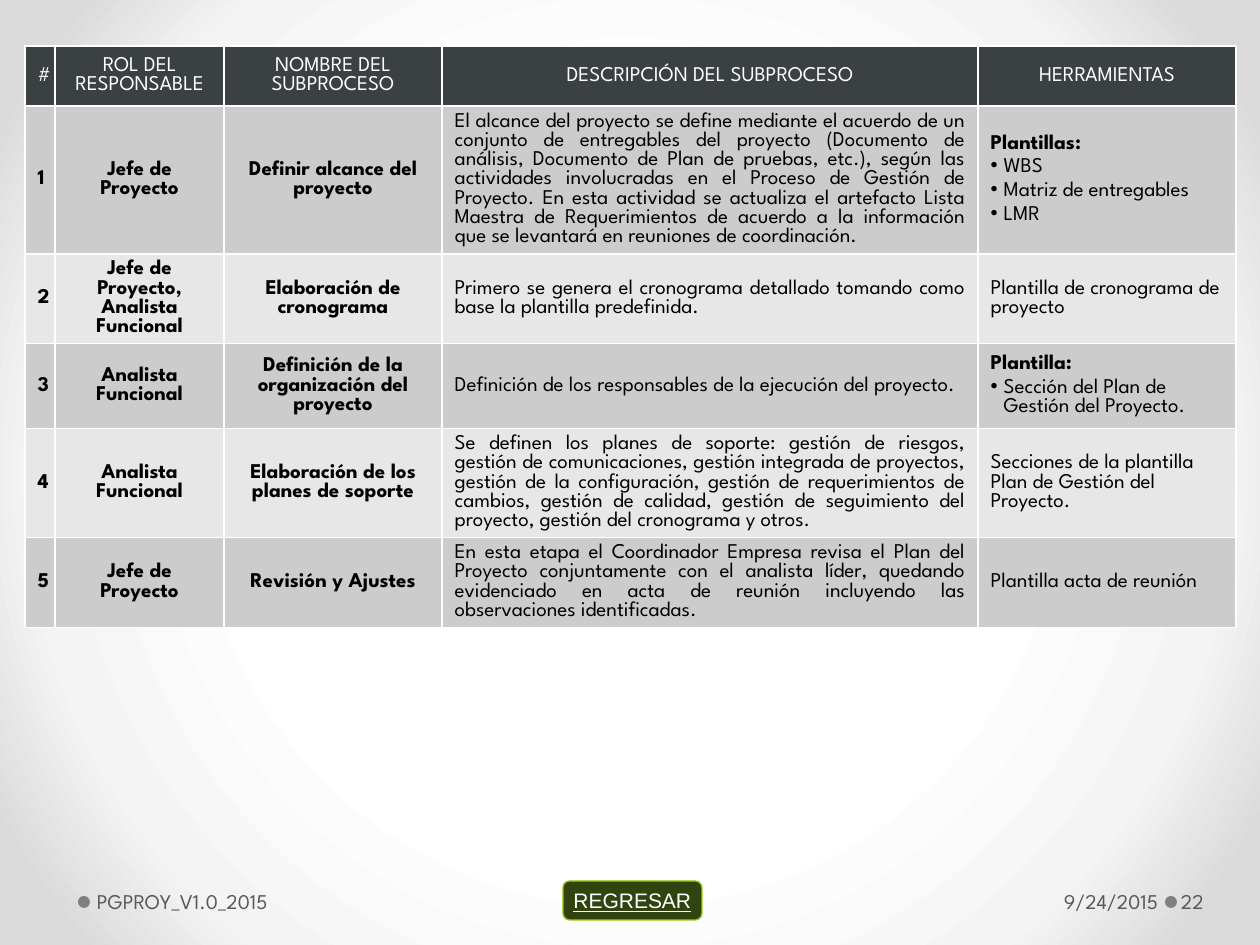
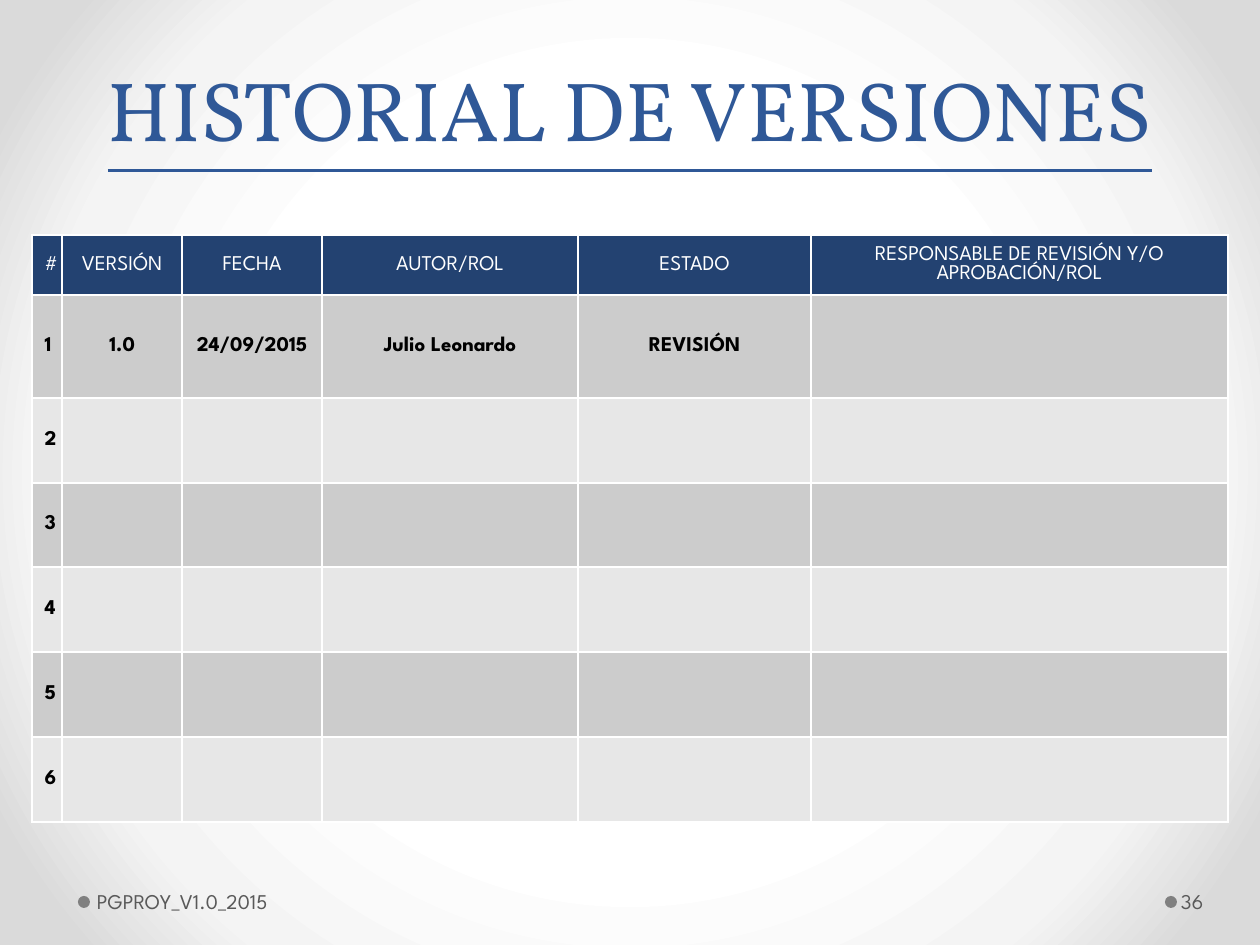
import dataclasses

import pptx
import pptx.dml.color
import pptx.enum.shapes
import pptx.enum.text
import pptx.oxml
import pptx.oxml.ns
import pptx.util

SCALE = 914400 / 126
NS = pptx.oxml.ns.nsdecls("a")
PP = pptx.enum.text.PP_ALIGN
MID = pptx.enum.text.MSO_ANCHOR.MIDDLE
SHAPE = pptx.enum.shapes.MSO_SHAPE
RGB = pptx.dml.color.RGBColor.from_string


@dataclasses.dataclass(frozen=True)
class Theme:
    body: str = "League Spartan"
    head: str = "Vollkorn"
    link: str = "Arial"
    small: int = 12
    large: int = 48
    line: int = 11
    gap: float = 2.7
    white: str = "FFFFFF"
    black: str = "000000"
    title: str = "2F5897"
    foot: str = "595959"
    dot: str = "808080"
    slate: str = "3B4042"
    navy: str = "234271"
    bands: tuple = ("CCCCCC", "E7E7E7")
    button: str = "314410"
    edge: str = "99CC00"
    glow: tuple = ((50, "FFFFFF"), (76, "F4F4F4"), (92, "DADADA"))


theme = Theme()


def px(n):
    return pptx.util.Emu(round(n * SCALE))


def style(para, color, font=theme.body, size=theme.small, align=PP.LEFT,
          bold=False, under=False):
    para.alignment = align
    for run in para.runs:
        face = run.font
        face.name, face.size = font, pptx.util.Pt(size)
        face.color.rgb = RGB(color)
        face.bold, face.underline = bold, under


# Content of each slide
steps = [
    ("#", "ROL DEL RESPONSABLE", "NOMBRE DEL SUBPROCESO",
     "DESCRIPCIÓN DEL SUBPROCESO", "HERRAMIENTAS"),
    ("1", "Jefe de Proyecto", "Definir alcance del proyecto",
     "El alcance del proyecto se define mediante el acuerdo de un conjunto de "
     "entregables del proyecto (Documento de análisis, Documento de Plan de "
     "pruebas, etc.), según las actividades involucradas en el Proceso de "
     "Gestión de Proyecto. En esta actividad se actualiza el artefacto Lista "
     "Maestra de Requerimientos de acuerdo a la información que se levantará "
     "en reuniones de coordinación.",
     "Plantillas:\nWBS\nMatriz de entregables\nLMR"),
    ("2", "Jefe de Proyecto, Analista Funcional", "Elaboración de cronograma",
     "Primero se genera el cronograma detallado tomando como base la "
     "plantilla predefinida.",
     "Plantilla de cronograma de proyecto"),
    ("3", "Analista Funcional", "Definición de la organización del proyecto",
     "Definición de los responsables de la ejecución del proyecto.",
     "Plantilla:\nSección del Plan de Gestión del Proyecto."),
    ("4", "Analista Funcional", "Elaboración de los planes de soporte",
     "Se definen los planes de soporte: gestión de riesgos, gestión de "
     "comunicaciones, gestión integrada de proyectos, gestión de la "
     "configuración, gestión de requerimientos de cambios, gestión de "
     "calidad, gestión de seguimiento del proyecto, gestión del cronograma "
     "y otros.",
     "Secciones de la plantilla Plan de Gestión del Proyecto."),
    ("5", "Jefe de Proyecto", "Revisión y Ajustes",
     "En esta etapa el Coordinador Empresa revisa el Plan del Proyecto "
     "conjuntamente con el analista líder, quedando evidenciado en acta de "
     "reunión incluyendo las observaciones identificadas.",
     "Plantilla acta de reunión"),
]
log = [
    ("#", "VERSIÓN", "FECHA", "AUTOR/ROL", "ESTADO",
     "RESPONSABLE DE REVISIÓN Y/O APROBACIÓN/ROL"),
    ("1", "1.0", "24/09/2015", "Julio Leonardo", "REVISIÓN", ""),
] + [(str(n),) + ("",) * 5 for n in range(2, 7)]

pages = [
    dict(title="", num="22", date="9/24/2015", back="REGRESAR",
         rows=steps, at=(25, 46), fill=theme.slate,
         wide=(30, 169, 218, 536, 258), high=(60, 148, 89, 85, 109, 90),
         prose={3: PP.JUSTIFY, 4: PP.LEFT}),
    dict(title="HISTORIAL DE VERSIONES", num="36", date="", back="",
         rows=log, at=(32, 235), fill=theme.navy,
         wide=(30, 120, 140, 256, 233, 417),
         high=(60, 103, 85, 84, 85, 85, 85),
         prose={}),
]

deck = pptx.Presentation()
deck.slide_width, deck.slide_height = px(1260), px(945)

# Shared background: a round glow on the master
master = deck.slide_master
master.background.fill.gradient()
grad = master.element.find(".//" + pptx.oxml.ns.qn("a:gradFill"))
for child in list(grad):
    grad.remove(child)
stops = "".join(f'<a:gs pos="{pos}000"><a:srgbClr val="{color}"/></a:gs>'
                for pos, color in theme.glow)
grad.append(pptx.oxml.parse_xml(f"<a:gsLst {NS}>{stops}</a:gsLst>"))
grad.append(pptx.oxml.parse_xml(
    f'<a:path {NS} path="circle">'
    '<a:fillToRect l="50000" t="50000" r="50000" b="50000"/></a:path>'))

for page in pages:
    slide = deck.slides.add_slide(deck.slide_layouts[5 if page["title"] else 6])
    shapes = slide.shapes

    # Title
    if page["title"]:
        title = shapes.title
        title.left, title.top, title.width, title.height = map(
            px, (35, 25, 1190, 140))
        frame = title.text_frame
        frame.text = page["title"]
        frame.auto_size = pptx.enum.text.MSO_AUTO_SIZE.NONE
        frame.vertical_anchor = pptx.enum.text.MSO_ANCHOR.BOTTOM
        style(frame.paragraphs[0], theme.title, theme.head, theme.large,
              PP.CENTER, under=True)

    # Footer dots
    for left in (78, 1165):
        dot = shapes.add_shape(SHAPE.OVAL, px(left), px(896), px(12), px(12))
        dot.shadow.inherit = False
        dot.fill.solid()
        dot.fill.fore_color.rgb = RGB(theme.dot)
        dot.line.fill.background()

    # Footer texts: wording, left, width, left inset, right inset, alignment
    for words, left, wide, pad, end, align in (
            ("PGPROY_V1.0_2015", 91, 499, 6, 13, PP.LEFT),
            (page["date"], 877, 287, 13, 6, PP.RIGHT),
            (page["num"], 1177, 77, 4, 6, PP.LEFT)):
        if words:
            box = shapes.add_textbox(px(left), px(876), px(wide), px(50))
            frame = box.text_frame
            frame.word_wrap = True
            frame.vertical_anchor = MID
            frame.margin_left, frame.margin_right = px(pad), px(end)
            frame.text = words
            style(frame.paragraphs[0], theme.foot, align=align)

    # Table
    rows, wide, high = page["rows"], page["wide"], page["high"]
    left, top = page["at"]
    grid = shapes.add_table(len(rows), len(wide), px(left), px(top),
                            px(sum(wide)), px(sum(high))).table
    grid.first_row = grid.horz_banding = False
    for col, size in zip(grid.columns, wide):
        col.width = px(size)
    for row, size in zip(grid.rows, high):
        row.height = px(size)
    for r, row in enumerate(rows):
        for c, words in enumerate(row):
            cell = grid.cell(r, c)
            cell.vertical_anchor = MID
            cell.fill.solid()
            cell.fill.fore_color.rgb = RGB(
                theme.bands[(r - 1) % 2] if r else page["fill"])

            # Thin white borders
            props = cell._tc.get_or_add_tcPr()
            for i, side in enumerate("LRTB"):
                props.insert(i, pptx.oxml.parse_xml(
                    f'<a:ln{side} {NS} w="12700"><a:solidFill>'
                    f'<a:srgbClr val="{theme.white}"/></a:solidFill></a:ln{side}>'))

            # Header, bold centred labels, plain prose, lists under a bold lead
            cell.text_frame.text = words
            paras = cell.text_frame.paragraphs
            for i, para in enumerate(paras):
                para.line_spacing = pptx.util.Pt(theme.line)
                if r == 0:
                    style(para, theme.white, align=PP.CENTER)
                    continue
                lead = len(paras) > 1 and i == 0
                style(para, theme.black,
                      align=page["prose"].get(c, PP.CENTER),
                      bold=lead or c not in page["prose"])
                if i:
                    para.space_before = pptx.util.Pt(theme.gap)
                    ppr = para._p.get_or_add_pPr()
                    ppr.set("marL", str(px(13)))
                    ppr.set("indent", str(px(-13)))
                    ppr.append(pptx.oxml.parse_xml(f'<a:buChar {NS} char="•"/>'))

    # Return button
    if page["back"]:
        button = shapes.add_shape(SHAPE.FLOWCHART_ALTERNATE_PROCESS,
                                  px(563), px(881), px(139), px(39))
        button.shadow.inherit = False
        button.fill.solid()
        button.fill.fore_color.rgb = RGB(theme.button)
        button.line.color.rgb = RGB(theme.edge)
        button.line.width = pptx.util.Pt(0.75)
        frame = button.text_frame
        frame.word_wrap = False
        frame.vertical_anchor = MID
        frame.text = page["back"]
        style(frame.paragraphs[0], theme.white, theme.link,
              align=PP.CENTER, under=True)

deck.save("out.pptx")
